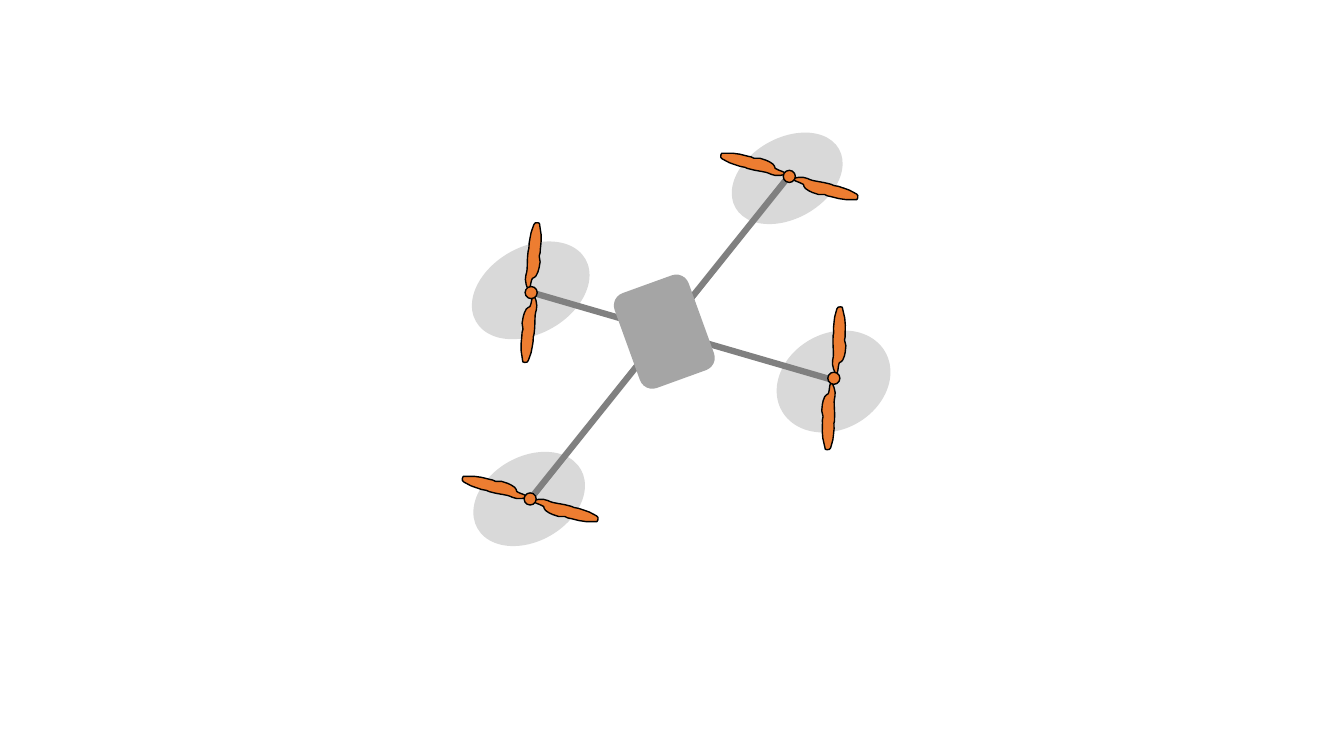
from math import cos, radians, sin

from lxml import etree
from pptx import Presentation
from pptx.dml.color import RGBColor
from pptx.enum import shapes
from pptx.oxml import ns
from pptx.util import Pt

ORANGE, BLACK = "ED7D31", "000000"
DISC_GREY, ARM_GREY, BODY_GREY = "D9D9D9", "808080", "A5A5A5"
TILT = 330.4
HUB_SIZE = 8.64

# One blade seen from its hub: a start point, then three points per Bezier curve
BLADE_UNIT = 0.72  # points per outline unit
BLADE = [
    (4, 3),
    (4, 4), (10, 6), (10, 6), (12, 7), (13, 7), (14, 8),
    (15, 9), (14, 11), (16, 12), (18, 14), (21, 15), (23, 16),
    (25, 17), (27, 17), (29, 18), (31, 18), (33, 18), (35, 18),
    (37, 19), (39, 20), (41, 20), (44, 21), (46, 21), (49, 22),
    (51, 22), (54, 23), (56, 23), (59, 23), (61, 23), (62, 23),
    (64, 23), (66, 23), (67, 23), (67, 22), (69, 21), (68, 19),
    (68, 18), (66, 17), (64, 16), (61, 14), (58, 13), (55, 12),
    (53, 11), (51, 11), (49, 10), (47, 10), (46, 10), (44, 9),
    (42, 8), (42, 8), (38, 7), (35, 6), (27, 5), (23, 4),
    (19, 3), (17, 1), (14, 1), (12, 1), (11, 1), (9, 1),
    (7, 1), (4, 2), (4, 3),
]

# Arm ends, then its two rotors: hub centre, blade angle, blade shift,
# disc centre, disc size
ARMS = [
    (((562.3, 127.4), (379.4, 355.7)), [
        ((563.8, 126), 0, (0, 0), (562.3, 127.4), (85, 57.6)),
        ((378.7, 356.4), 0, (-0.5, -0.4), (378, 356.4), (85, 60.5)),
    ]),
    (((379.4, 208.8), (597.6, 272.2)), [
        ((379.4, 209), 81.5, (3.3, -0.7), (379.1, 207.4), (90, 61.9)),
        ((595.6, 270.2), 77.2, (-0.6, 0), (595.4, 272.5), (85, 68.4)),
    ]),
]


def rgb(color):
    return RGBColor.from_string(color)


def paint(shape, fill, line=None):
    shape.shadow.inherit = False
    shape.fill.solid()
    shape.fill.fore_color.rgb = rgb(fill)
    if line:
        shape.line.color.rgb = rgb(line)
        shape.line.width = Pt(1)
    else:
        shape.line.fill.background()


def add_centred(drone, kind, centre, size, rotation, fill, line=None):
    (x, y), (w, h) = centre, size
    sp = drone.add_shape(kind, Pt(x - w / 2), Pt(y - h / 2), Pt(w), Pt(h))
    sp.rotation = rotation
    paint(sp, fill, line)


def add_arm(drone, start, end):
    arm = drone.add_connector(shapes.MSO_CONNECTOR.STRAIGHT,
                              *(Pt(v) for v in start + end))
    arm.line.color.rgb = rgb(ARM_GREY)
    arm.line.width = Pt(4.5)
    etree.SubElement(arm._element.spPr, ns.qn("a:effectLst"))


def curve_outline(shape):
    """Turn each run of three straight segments into one Bezier curve."""
    outline = next(shape._element.iter(ns.qn("a:path")))
    segments = outline.findall(ns.qn("a:lnTo"))
    for i in range(0, len(segments), 3):
        curve = etree.Element(ns.qn("a:cubicBezTo"))
        segments[i].addprevious(curve)
        for segment in segments[i:i + 3]:
            curve.append(segment[0])
            outline.remove(segment)


def add_blade(drone, hub, angle, shift, side):
    """Draw a blade; side is 1, or -1 for the one across the hub."""
    c, s = cos(radians(angle)), sin(radians(angle))
    points = []
    for x, y in BLADE:
        dx = BLADE_UNIT * (x * c - y * s) + shift[0]
        dy = BLADE_UNIT * (x * s + y * c) + shift[1]
        points.append((Pt(hub[0] + side * dx), Pt(hub[1] + side * dy)))
    builder = drone.build_freeform(*points[0], scale=1.0)
    builder.add_line_segments(points[1:], close=True)
    blade = builder.convert_to_shape()
    curve_outline(blade)
    paint(blade, ORANGE, BLACK)


def add_arm_with_rotors(drone, ends, rotors):
    oval = shapes.MSO_SHAPE.OVAL
    for _, _, _, centre, size in rotors:
        add_centred(drone, oval, centre, size, TILT, DISC_GREY)
    add_arm(drone, *ends)
    for hub, angle, shift, _, _ in rotors:
        for side in (1, -1):
            add_blade(drone, hub, angle, shift, side)
    for hub, *_ in rotors:
        add_centred(drone, oval, hub, (HUB_SIZE, HUB_SIZE), TILT, ORANGE, BLACK)


def main():
    prs = Presentation()
    prs.slide_width, prs.slide_height = Pt(960), Pt(540)
    s = prs.slides.add_slide(prs.slide_layouts[6])
    drone = s.shapes.add_group_shape().shapes

    # Arms with rotors
    for ends, rotors in ARMS:
        add_arm_with_rotors(drone, ends, rotors)

    # Body
    add_centred(drone, shapes.MSO_SHAPE.ROUNDED_RECTANGLE,
                (474.5, 236.9), (56.2, 72), 340.1, BODY_GREY)

    prs.save("out.pptx")


main()
